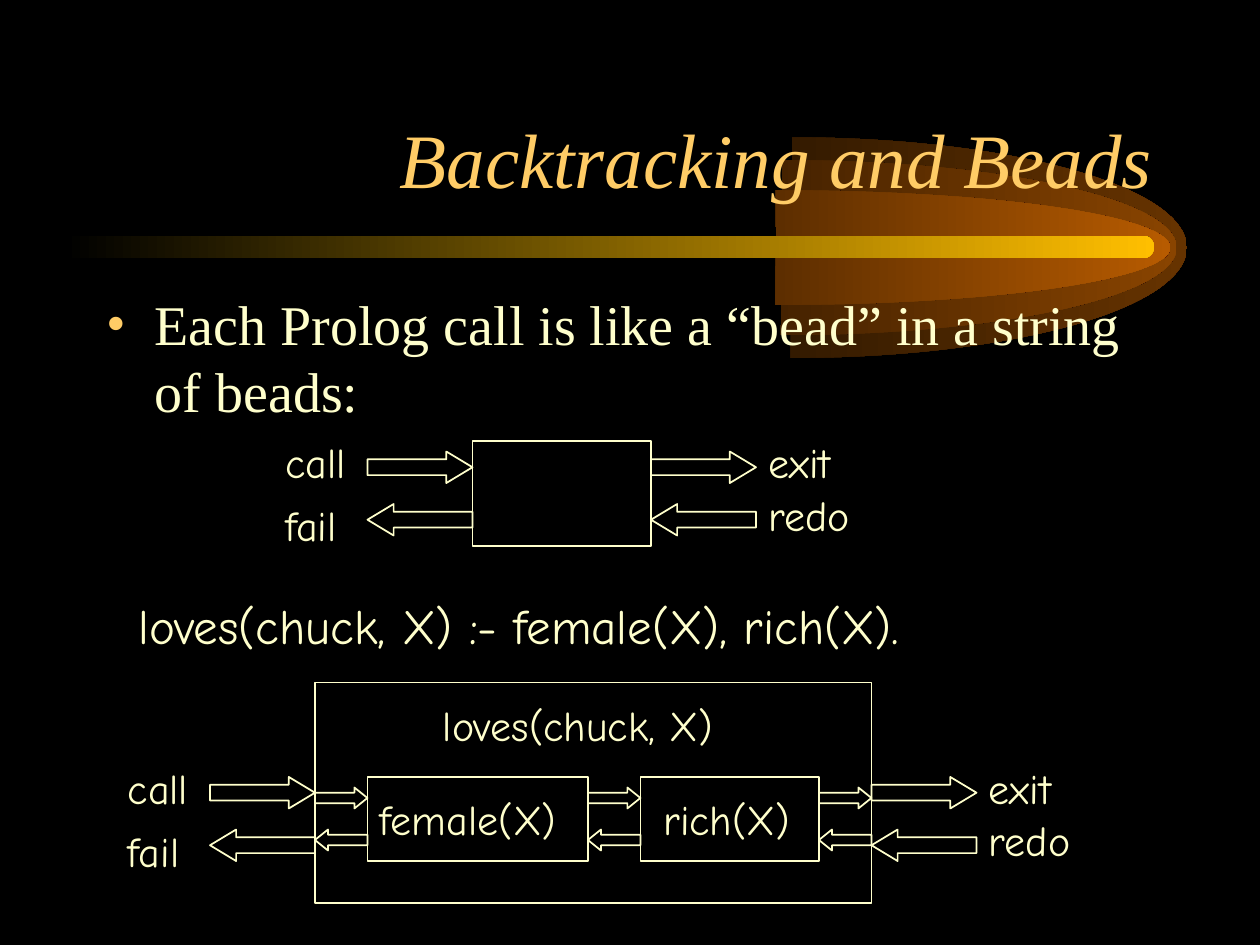
from lxml.etree import SubElement
from pptx import Presentation
from pptx.dml.color import RGBColor as RGB
from pptx.enum.shapes import MSO_SHAPE as Kind
from pptx.enum.text import MSO_ANCHOR as Anchor, MSO_AUTO_SIZE as Fit
from pptx.enum.text import PP_ALIGN as Align
from pptx.oxml.ns import qn
from pptx.util import Inches, Pt

THEME = dict(
    back="000000", gold="FFCC66", cream="FFFFCC", bar="FFBF00",
    serif="Times New Roman", hand="Comic Neue",
    title=44, body=32, rule=28, label=24,
)

TITLE = "Backtracking and Beads"
POINT = "Each Prolog call is like a “bead” in a string of beads:"
RULE = "loves(chuck, X) :- female(X), rich(X)."

# Comet tail, back to front: left, top, width, height, colour
TAIL = [
    (3.16, 1.09, 6.26, 1.75, "663300"),
    (3.08, 1.27, 6.26, 1.39, "894400"),
    (3.03, 1.51, 6.26, 0.91, "B75B00"),
]
BAR = (0.5, 1.87, 8.66, 0.18)

# The diagram sits on a grid of twelfths of an inch.
GRID = 12
# Beads with ports: left, top, width, height, top of the upper arrows
BEADS = [
    (45, 42, 17, 10, 43),
    (30, 65, 53, 21, 74),
]
# Inner beads: left and width
GOALS = [(35, 21), (61, 17)]
# Text, left, top, width
NAMES = [
    ("loves(chuck, X)", 41, 66, 32),
    ("female(X)", 35, 75, 24),
    ("rich(X)", 62, 75, 20),
]
LONG, TALL = 10, 3      # outer arrows
SHORT, THIN = 5, 2      # inner arrows

prs = Presentation()
prs.slide_width, prs.slide_height = Inches(10), Inches(7.5)
slide = prs.slides.add_slide(prs.slide_layouts[6])
slide.background.fill.solid()
slide.background.fill.fore_color.rgb = RGB.from_string(THEME["back"])
shapes = slide.shapes


def glow(kind, box, color, *adjust):
    """Draw a shape that fades from the background to color."""
    shape = shapes.add_shape(kind, *map(Inches, box))
    shape.shadow.inherit = False
    shape.line.fill.background()
    for i, value in enumerate(adjust):
        shape.adjustments[i] = value
    shape.fill.gradient()
    shape.fill.gradient_angle = 0
    for stop, tone in zip(shape.fill.gradient_stops, (THEME["back"], color)):
        stop.color.rgb = RGB.from_string(tone)


def outline(kind, *cells, ratio=None):
    """Draw an unfilled shape on the grid; ratio is an arrow's head length."""
    shape = shapes.add_shape(kind, *(Inches(c / GRID) for c in cells))
    shape.shadow.inherit = False
    shape.fill.background()
    shape.line.color.rgb = RGB.from_string(THEME["cream"])
    shape.line.width = Pt(1)
    if ratio:
        shape.adjustments[0] = 0.5
        shape.adjustments[1] = ratio


def write(text, x, y, w, h, size="label", font="hand", color="cream",
          before=15, italic=False, align=Align.LEFT, anchor=Anchor.TOP,
          fit=Fit.NONE, bullet=None):
    frame = shapes.add_textbox(*map(Inches, (x, y, w, h))).text_frame
    frame.word_wrap = True
    frame.auto_size = fit
    frame.vertical_anchor = anchor
    para = frame.paragraphs[0]
    para.alignment = align
    para.space_before = Pt(before)
    run = para.add_run()
    run.text = text
    run.font.name = THEME[font]
    run.font.size = Pt(THEME[size])
    run.font.italic = italic
    run.font.color.rgb = RGB.from_string(THEME[color])
    if bullet:
        props = para._p.get_or_add_pPr()
        props.set("marL", str(Inches(0.38)))
        props.set("indent", str(Inches(-0.38)))
        tint = SubElement(props, qn("a:buClr"))
        SubElement(tint, qn("a:srgbClr")).set("val", THEME["gold"])
        SubElement(props, qn("a:buFont")).set("typeface", THEME[font])
        SubElement(props, qn("a:buChar")).set("char", bullet)


def label(text, x, y, w):
    """Write a label at a place on the grid."""
    write(text, x / GRID, y / GRID, w / GRID, 0.5, fit=Fit.SHAPE_TO_FIT_TEXT)


def bead(x, y, w, h, top):
    """Draw a box with its call, fail, exit and redo ports."""
    outline(Kind.RECTANGLE, x, y, w, h)
    right = x + w
    for left in (x - LONG, right):
        outline(Kind.RIGHT_ARROW, left, top, LONG, TALL, ratio=0.83)
        outline(Kind.LEFT_ARROW, left, top + 5, LONG, TALL, ratio=0.83)
    label("call", x - 19, top - 2, 12)
    label("fail", x - 19, top + 4, 10)
    label("exit", right + LONG, top - 2, 16)
    label("redo", right + LONG, top + 3, 11)


for *box, color in TAIL:
    glow(Kind.ARC, box, color, 161.88, 54.6)
glow(Kind.ROUNDED_RECTANGLE, BAR, THEME["bar"], 0.5)

write(TITLE, 0.75, 0.42, 8.5, 1.25, size="title", font="serif", color="gold",
      before=0, italic=True, align=Align.RIGHT, anchor=Anchor.BOTTOM)
write(POINT, 0.75, 2.25, 8.5, 1.25, size="body", font="serif", before=8,
      bullet="•")
write(RULE, 1, 4.68, 8.42, 0.57, size="rule", before=17.5,
      fit=Fit.SHAPE_TO_FIT_TEXT)

bead(*BEADS[0])
for item in NAMES:
    label(*item)
for left, width in GOALS:
    outline(Kind.RECTANGLE, left, 74, width, 8)
for left in [BEADS[1][0]] + [x + w for x, w in GOALS]:
    outline(Kind.RIGHT_ARROW, left, 75, SHORT, THIN, ratio=0.62)
    outline(Kind.LEFT_ARROW, left, 79, SHORT, THIN, ratio=0.62)
bead(*BEADS[1])

prs.save("out.pptx")
